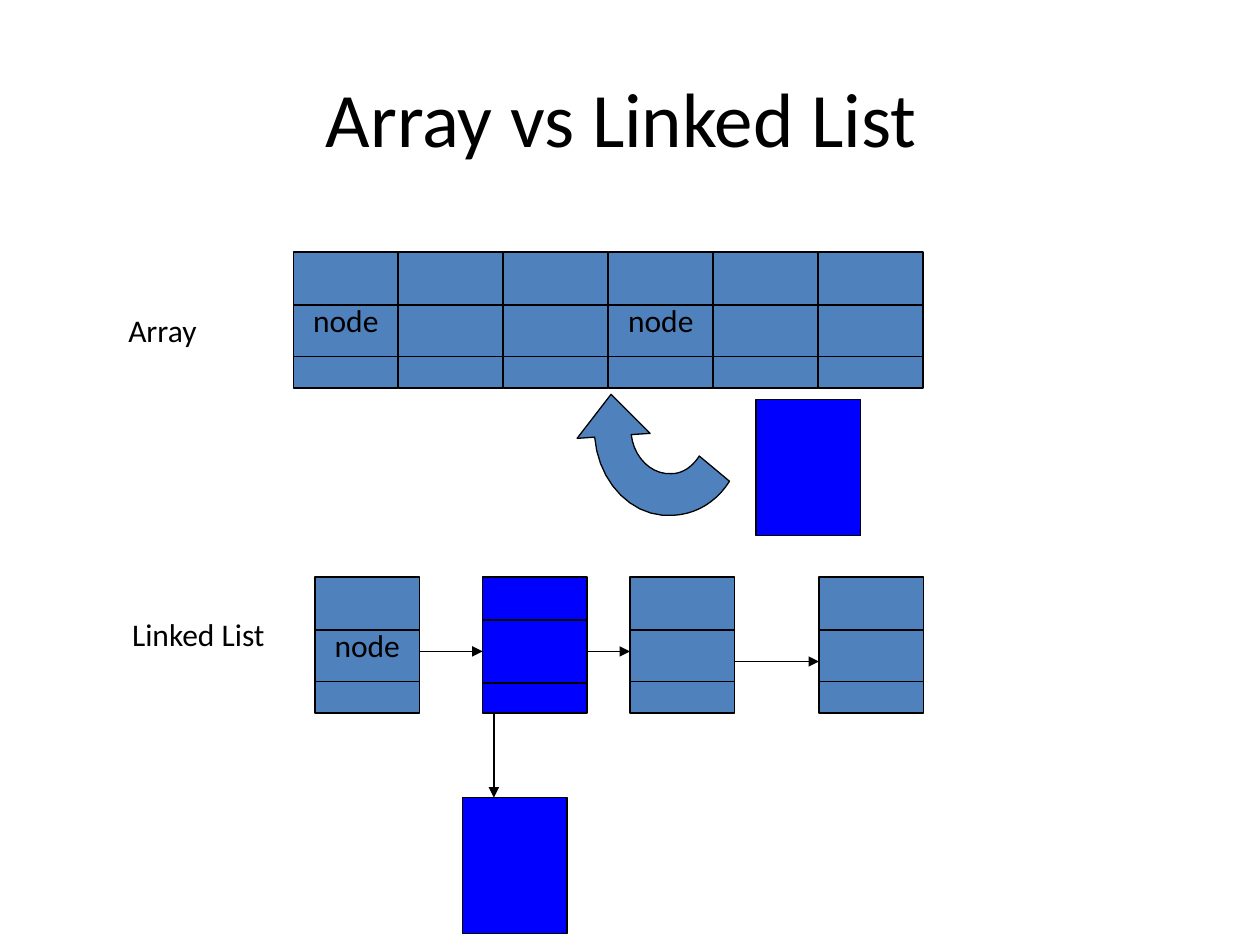
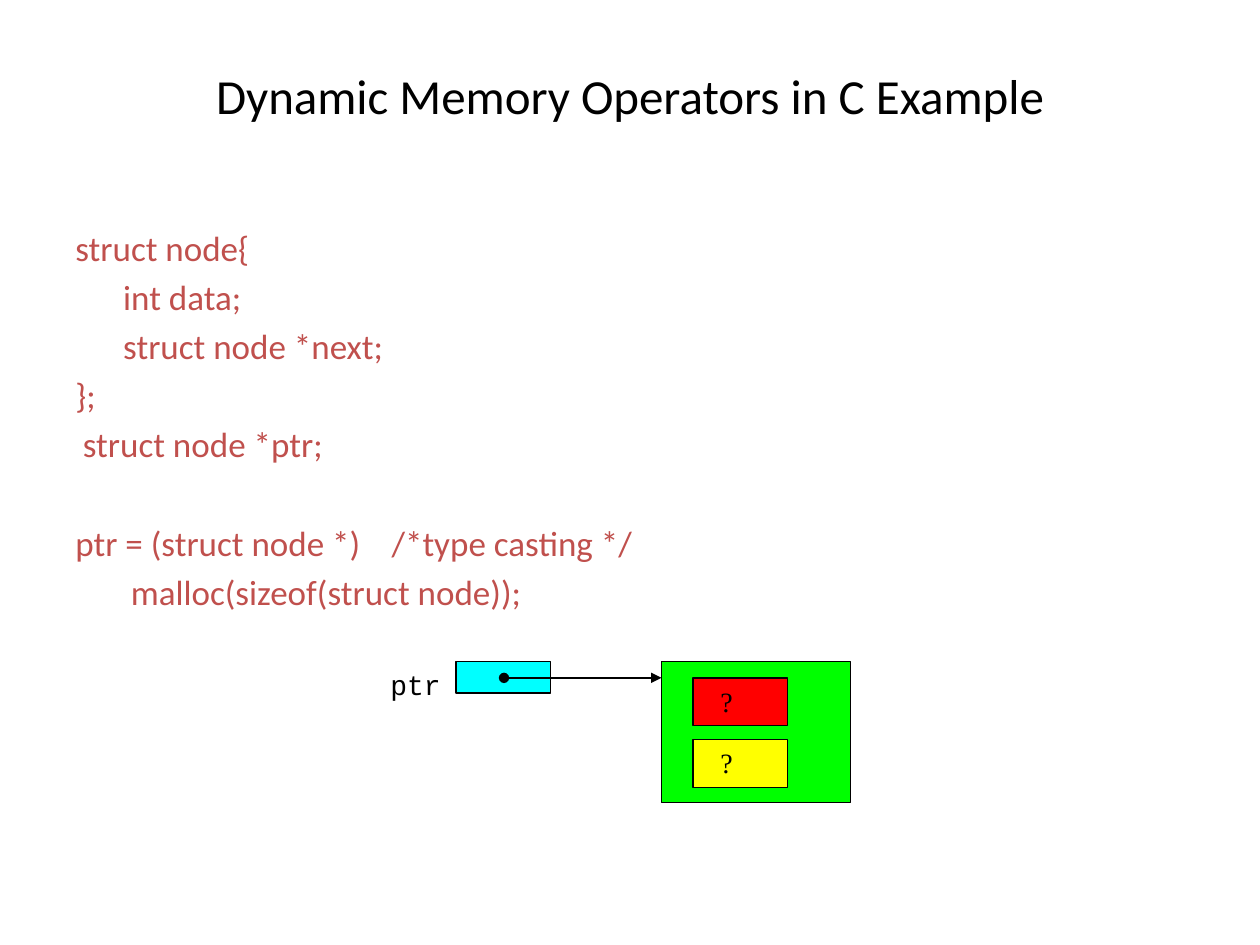
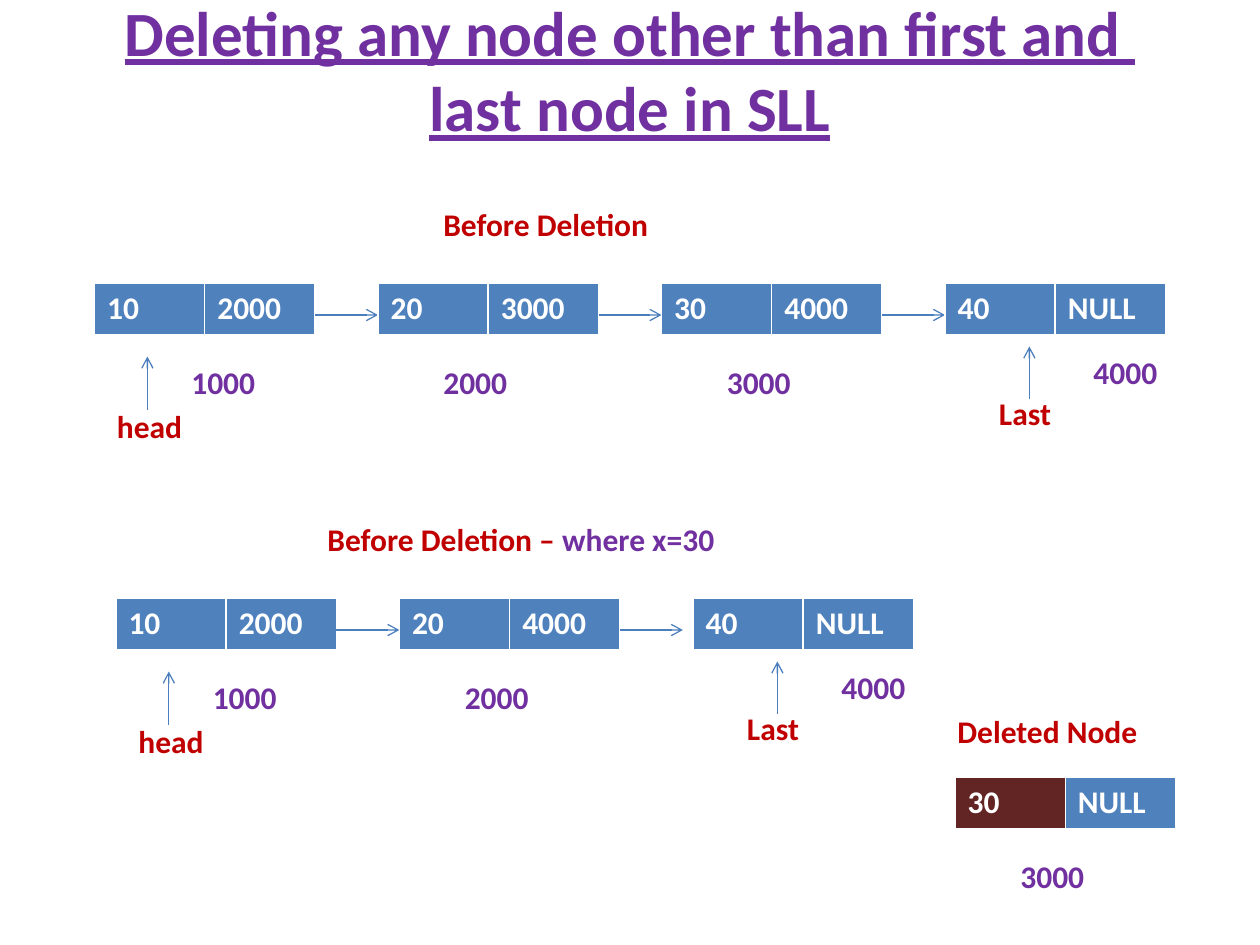
from copy import deepcopy

from lxml.etree import SubElement
from pptx import Presentation
from pptx.dml.color import RGBColor
from pptx.enum.shapes import MSO_CONNECTOR, MSO_SHAPE
from pptx.enum.text import MSO_ANCHOR, MSO_AUTO_SIZE, PP_ALIGN
from pptx.oxml.ns import qn
from pptx.util import Inches, Pt

COLORS = {
    "black": "000000",
    "white": "FFFFFF",
    "node": "4F81BD",
    "new_node": "0000FF",
    "code": "C0504D",
    "pointer": "00FFFF",
    "struct": "00FF00",
    "data": "FF0000",
    "next": "FFFF00",
    "purple": "7030A0",
    "red": "C00000",
    "link": "4B7EBC",
    "deleted": "632523",
}
NODE_WIDTH, NODE_HEIGHT = 0.83, 1.08
CELL_STEP = 5 / 6
RECORD_WIDTH = 1.75
LINK_LENGTH = 0.5


def rgb(name):
    """Return the palette colour with this name."""
    return RGBColor.from_string(COLORS[name])


def write(paragraph, text, size=18, color="black", font="Calibri",
          bold=False, underline=False, align=None):
    """Append formatted text to a paragraph, breaking lines at vertical tabs."""
    paragraph.alignment = align
    for index, line in enumerate(text.split("\v")):
        if index:
            paragraph.add_line_break()
        run = paragraph.add_run()
        run.text = line
        run.font.name = font
        run.font.size = Pt(size)
        run.font.bold = bold
        run.font.underline = underline
        run.font.color.rgb = rgb(color)
    for line_break in paragraph._p.findall(qn("a:br")):
        line_break.append(deepcopy(run._r.rPr))


def add_titled_slide(deck, title, left, top, width, height, **style):
    """Add a title-only slide and place its title."""
    slide = deck.slides.add_slide(deck.slide_layouts[5])
    heading = slide.shapes.title
    heading.left, heading.top = Inches(left), Inches(top)
    heading.width, heading.height = Inches(width), Inches(height)
    frame = heading.text_frame
    frame.word_wrap = True
    frame.auto_size = MSO_AUTO_SIZE.NONE
    frame.vertical_anchor = MSO_ANCHOR.MIDDLE
    write(frame.paragraphs[0], title, align=PP_ALIGN.CENTER, **style)
    return slide


def add_label(shapes, text, left, top, width, height=0.4, **style):
    """Add a wrapping text box and return its first paragraph."""
    label = shapes.add_textbox(Inches(left), Inches(top), Inches(width), Inches(height))
    label.text_frame.word_wrap = True
    paragraph = label.text_frame.paragraphs[0]
    write(paragraph, text, **style)
    return paragraph


def paint(shape, fill):
    """Give a shape a flat fill and a thin black outline."""
    shape.shadow.inherit = False
    shape.fill.solid()
    shape.fill.fore_color.rgb = rgb(fill)
    shape.line.color.rgb = rgb("black")
    shape.line.width = Pt(0.75)


def add_box(shapes, left, top, width, height, fill):
    """Add an outlined rectangle."""
    box = shapes.add_shape(MSO_SHAPE.RECTANGLE, Inches(left), Inches(top),
                           Inches(width), Inches(height))
    paint(box, fill)
    return box


def add_line(shapes, start, end, color="black", head=None, tail=None):
    """Add a straight line with optional arrowheads at its start and end."""
    line = shapes.add_connector(MSO_CONNECTOR.STRAIGHT, *map(Inches, start + end))
    line.line.color.rgb = rgb(color)
    line.line.width = Pt(0.75)
    outline = line.line._get_or_add_ln()
    for tag, kind in (("a:headEnd", head), ("a:tailEnd", tail)):
        if kind:
            SubElement(outline, qn(tag), type=kind)
    SubElement(line._element.spPr, qn("a:effectLst"))


def add_node(slide, left, top, fill="node", dividers=(0.42, 0.83), text=None):
    """Add a grouped three-part node."""
    shapes = slide.shapes.add_group_shape().shapes
    box = add_box(shapes, left, top, NODE_WIDTH, NODE_HEIGHT, fill)
    if text:
        box.text_frame.vertical_anchor = MSO_ANCHOR.MIDDLE
        write(box.text_frame.paragraphs[0], text, align=PP_ALIGN.CENTER)
    for offset in dividers:
        add_line(shapes, (left, top + offset), (left + NODE_WIDTH, top + offset))


def curve(start, first, second, end, steps=10):
    """Return points along a cubic curve, without its start."""
    points = []
    for step in range(1, steps + 1):
        t = step / steps
        weights = ((1 - t) ** 3, 3 * t * (1 - t) ** 2, 3 * t * t * (1 - t), t ** 3)
        points.append(tuple(
            sum(weight * value for weight, value in zip(weights, axis))
            for axis in zip(start, first, second, end)))
    return points


def add_insert_arrow(slide):
    """Add the curved arrow that points into the array."""
    inner, inner_low, inner_end = (5.01, 3.45), (5.33, 3.76), (5.55, 3.62)
    outer, outer_low, outer_end = (5.79, 3.82), (5.35, 4.09), (4.72, 3.47)
    outline = [
        *curve(inner, (5.03, 3.63), (5.17, 3.77), inner_low),
        *curve(inner_low, (5.42, 3.76), (5.5, 3.7), inner_end),
        outer,
        *curve(outer, (5.69, 3.98), (5.53, 4.08), outer_low),
        *curve(outer_low, (5.03, 4.12), (4.75, 3.84), outer_end),
        (4.58, 3.48), (4.85, 3.13), (5.16, 3.44),
    ]
    builder = slide.shapes.build_freeform(Inches(inner[0]), Inches(inner[1]))
    builder.add_line_segments([(Inches(x), Inches(y)) for x, y in outline], close=True)
    paint(builder.convert_to_shape(), "node")


def add_record(slide, left, top, data, link, data_fill="node"):
    """Add a list node as a table of a value and a next address."""
    table = slide.shapes.add_table(1, 2, Inches(left), Inches(top),
                                   Inches(RECORD_WIDTH), Inches(0.41)).table
    table.horz_banding = False
    for cell, text, fill in zip(table.rows[0].cells, (data, link), (data_fill, "node")):
        cell.fill.solid()
        cell.fill.fore_color.rgb = rgb(fill)
        write(cell.text_frame.paragraphs[0], text, color="white", bold=True)


def add_address(slide, text, left, top):
    """Add the memory address of a record."""
    add_label(slide.shapes, text, left, top, 0.92, color="purple", bold=True)


def add_heading(slide, text, left, top, width):
    """Add a red caption."""
    return add_label(slide.shapes, text, left, top, width, color="red", bold=True)


def add_marker(slide, text, tip, label):
    """Add a named pointer below a record."""
    x, y = tip
    add_line(slide.shapes, (x, y + 0.42), (x, y), "link", tail="arrow")
    add_heading(slide, text, *label, 0.92)


def add_chain(slide, top, records):
    """Add linked records with addresses and head and last markers."""
    final = len(records) - 1
    for index, (left, data, link, address) in enumerate(records):
        add_record(slide, left, top, data, link)
        if index < final:
            right = left + RECORD_WIDTH
            add_line(slide.shapes, (right, top + 0.25), (right + LINK_LENGTH, top + 0.25),
                     "link", tail="arrow")
            add_address(slide, address, left + (0.42 if index else 0.67), top + 0.58)
        else:
            add_address(slide, address, left + 1.08, top + 0.5)
    first, last = records[0][0], records[-1][0]
    add_marker(slide, "head", (first + 0.42, top + 0.58), (first + 0.08, top + 0.93))
    add_marker(slide, "Last", (last + 0.67, top + 0.5), (last + 0.33, top + 0.83))


def build_comparison(deck):
    """Build the slide that compares an array with a linked list."""
    slide = add_titled_slide(deck, "Array vs Linked List ", 0.5, 0.3, 9, 1.25, size=44)
    shapes = slide.shapes
    add_box(shapes, 3.67, 6.33, NODE_WIDTH, NODE_HEIGHT, "new_node")
    add_line(shapes, (3.92, 6.33), (3.92, 5.25), head="triangle", tail="triangle")
    for start, end, y in ((4.17, 5, 5.17), (5.83, 6.5, 5.25), (3.33, 3.83, 5.17)):
        add_line(shapes, (start, y), (end, y), tail="triangle")
    add_node(slide, 3.83, 4.58, "new_node", (0.34, 0.84))
    for left, text in ((2.5, "node"), (5, None), (6.5, None)):
        add_node(slide, left, 4.58, text=text)
    for index in range(6):
        add_node(slide, 2.33 + index * CELL_STEP, 2, text=None if index % 3 else "node")
    add_label(shapes, "Array", 0.92, 2.42, 0.8)
    add_label(shapes, "Linked List", 0.95, 4.83, 1.4)
    add_box(shapes, 6, 3.17, NODE_WIDTH, NODE_HEIGHT, "new_node")
    add_insert_arrow(slide)


def add_code(slide, lines):
    """Add code lines, each with its indent and space before."""
    area = slide.shapes.add_textbox(Inches(0.5), Inches(1.75), Inches(9), Inches(4.95))
    frame = area.text_frame
    frame.word_wrap = True
    for index, (text, indent, before) in enumerate(lines):
        paragraph = frame.add_paragraph() if index else frame.paragraphs[0]
        write(paragraph, text, size=20, color="code", align=PP_ALIGN.JUSTIFY)
        paragraph.space_before = Pt(before)
        properties = paragraph._p.get_or_add_pPr()
        properties.set("marL", str(Inches(indent)))
        if "\t" in text:
            stops = SubElement(properties, qn("a:tabLst"))
            SubElement(stops, qn("a:tab"), pos=str(Inches(2.51)), algn="l")


def build_allocation(deck):
    """Build the slide on allocating a node in C."""
    slide = add_titled_slide(deck, "Dynamic Memory Operators in C Example",
                             0.75, 0.42, 8.5, 0.67, size=28)
    add_code(slide, (
        ("struct node{", 0, 4),
        ("int data;", 0.38, 4),
        ("struct node *next;", 0.38, 4),
        ("};", 0, 4),
        ("struct node *ptr;", 0.06, 4),
        ("ptr = (struct node *)\t/*type casting */", 0, 32.4),
        ("malloc(sizeof(struct node));", 0.44, 4),
    ))
    memory = slide.shapes.add_group_shape().shapes
    add_box(memory, 3.62, 5.25, 0.75, 0.25, "pointer")
    add_box(memory, 5.25, 5.25, 1.5, 1.12, "struct")
    for top, field in ((5.38, "data"), (5.87, "next")):
        add_box(memory, 5.5, top, 0.75, 0.38, field)
        add_label(memory, "?", 5.62, top, 0.5, 0.38, size=16, font="Times New Roman")
    add_line(memory, (4, 5.38), (5.25, 5.38), head="oval", tail="triangle")
    add_label(memory, "ptr", 3, 5.25, 0.88, 0.38, size=16, font="Courier New")


def build_deletion(deck):
    """Build the slide on deleting an inner node."""
    slide = add_titled_slide(deck, "Deleting any node other than first and \vlast node in SLL",
                             0.5, -0.08, 9, 1.25, size=36, color="purple",
                             bold=True, underline=True)
    add_heading(slide, "Before Deletion", 3.42, 1.58, 2.25)
    add_chain(slide, 2.25, (
        (0.75, "10", "2000", "1000"),
        (3, "20", "3000", "2000"),
        (5.25, "30", "4000", "3000"),
        (7.5, "40", "NULL", "4000"),
    ))
    caption = add_heading(slide, "Before Deletion – ", 2.5, 4.08, 4.42)
    write(caption, "where x=30", color="purple", bold=True)
    add_chain(slide, 4.75, (
        (0.92, "10", "2000", "1000"),
        (3.17, "20", "4000", "2000"),
        (5.5, "40", "NULL", "4000"),
    ))
    add_heading(slide, "Deleted Node", 7.5, 5.6, 2.25)
    add_record(slide, 7.58, 6.17, "30", "NULL", "deleted")
    add_address(slide, "3000", 8, 6.75)


def main():
    """Build and save the deck."""
    deck = Presentation()
    deck.slide_width, deck.slide_height = Inches(10), Inches(7.5)
    build_comparison(deck)
    build_allocation(deck)
    build_deletion(deck)
    deck.save("out.pptx")


main()
